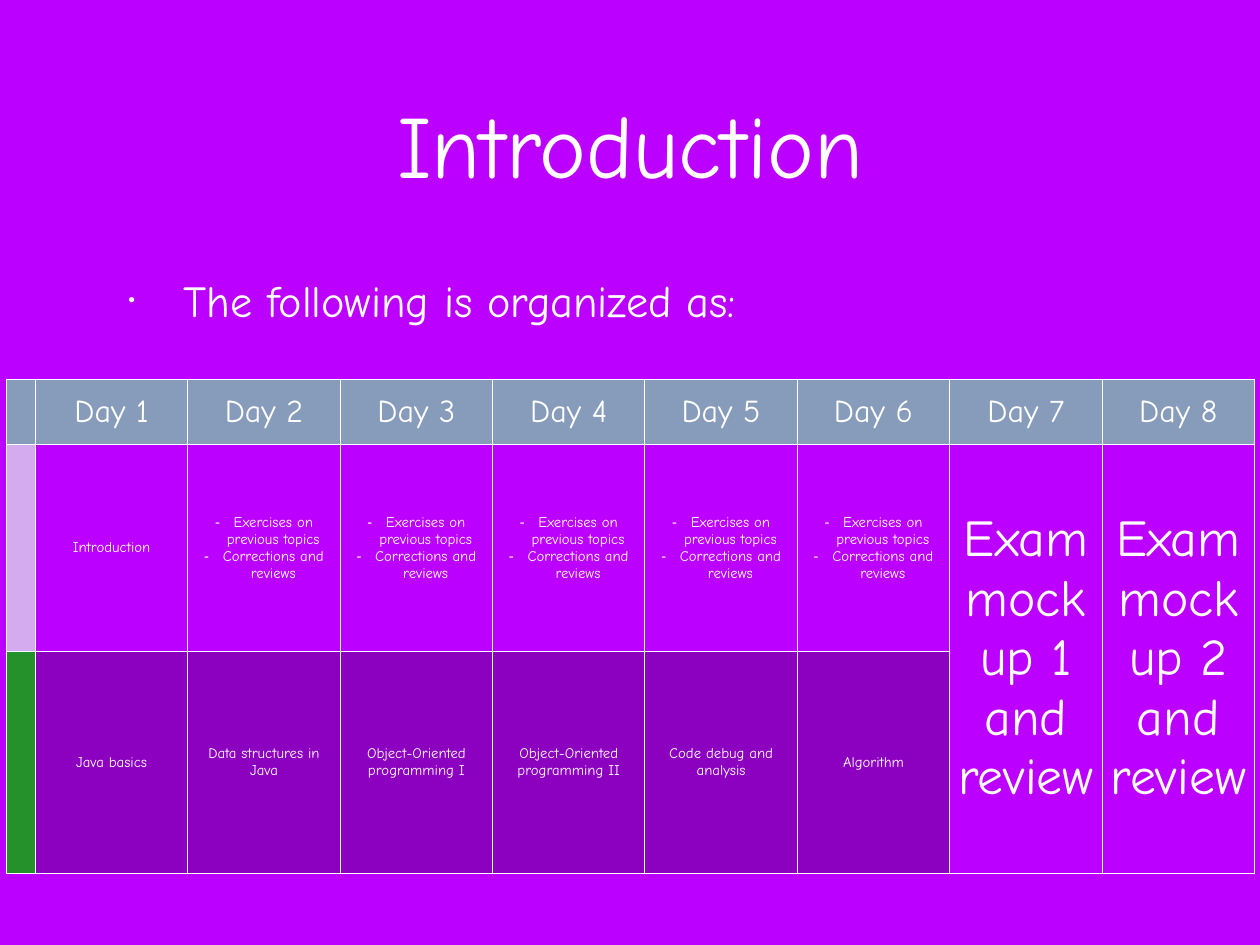
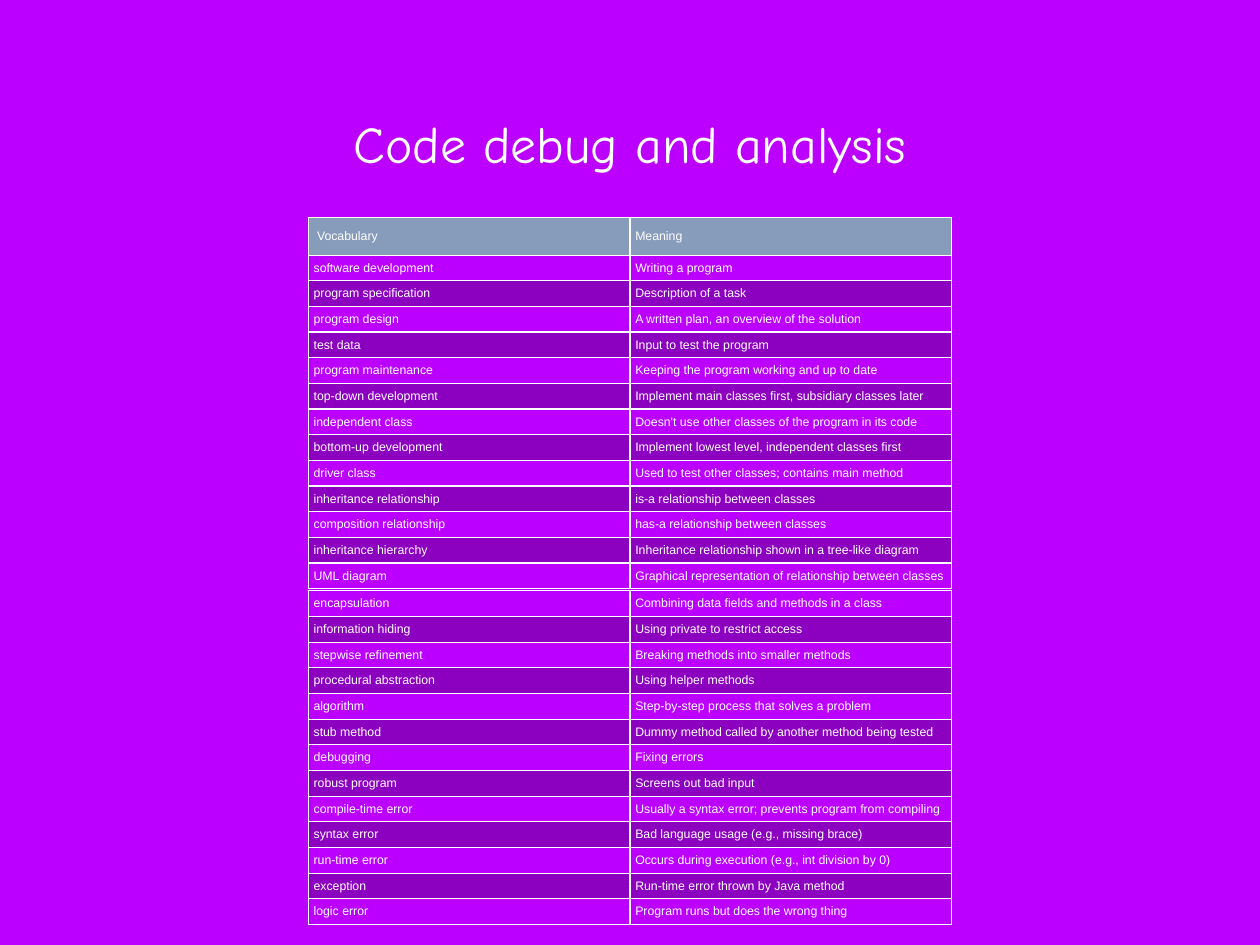
from lxml import etree
from pptx import Presentation
from pptx.dml.color import RGBColor
from pptx.enum import text
from pptx.oxml import ns
from pptx.util import Inches, Pt

PURPLE = RGBColor(0xBC, 0x00, 0xFF)
WHITE = RGBColor(0xFF, 0xFF, 0xFF)
SHADE = RGBColor(0x00, 0x00, 0x00)
SLATE = RGBColor(0x87, 0x9B, 0xBB)
LILAC = RGBColor(0xD4, 0xAB, 0xEF)
GREEN = RGBColor(0x25, 0x91, 0x2A)
HAND, SANS = "Comic Neue", "Arial"
INSET = Inches(0.06)
CENTER = text.PP_ALIGN.CENTER

REVIEW = ["Exercises on previous topics", "Corrections and reviews"]
SCHEDULE = [
    [""] + [f"Day {n}" for n in range(1, 9)],
    ["", "Introduction"] + [REVIEW] * 5
    + [f"Exam mock up {n} and review" for n in (1, 2)],
    ["", "Java basics", "Data structures in Java", "Object-Oriented programming I",
     "Object-Oriented programming II", "Code debug and analysis", "Algorithm", "", ""],
]
VOCABULARY = [
    (" Vocabulary", "Meaning"),
    ("software development", "Writing a program"),
    ("program specification", "Description of a task"),
    ("program design", "A written plan, an overview of the solution"),
    ("test data", "Input to test the program"),
    ("program maintenance", "Keeping the program working and up to date"),
    ("top-down development", "Implement main classes first, subsidiary classes later"),
    ("independent class", "Doesn't use other classes of the program in its code"),
    ("bottom-up development", "Implement lowest level, independent classes first"),
    ("driver class", "Used to test other classes; contains main method"),
    ("inheritance relationship", "is-a relationship between classes"),
    ("composition relationship", "has-a relationship between classes"),
    ("inheritance hierarchy", "Inheritance relationship shown in a tree-like diagram"),
    ("UML diagram", "Graphical representation of relationship between classes"),
]
MORE_VOCABULARY = [
    ("encapsulation", "Combining data fields and methods in a class"),
    ("information hiding", "Using private to restrict access"),
    ("stepwise refinement", "Breaking methods into smaller methods"),
    ("procedural abstraction", "Using helper methods"),
    ("algorithm", "Step-by-step process that solves a problem"),
    ("stub method", "Dummy method called by another method being tested"),
    ("debugging", "Fixing errors"),
    ("robust program", "Screens out bad input"),
    ("compile-time error", "Usually a syntax error; prevents program from compiling"),
    ("syntax error", "Bad language usage (e.g., missing brace)"),
    ("run-time error", "Occurs during execution (e.g., int division by 0)"),
    ("exception", "Run-time error thrown by Java method"),
    ("logic error", "Program runs but does the wrong thing"),
]


def add_xml(parent, tag, **attrs):
    """Append a drawing element with the given attributes."""
    return etree.SubElement(parent, ns.qn(tag), {k: str(v) for k, v in attrs.items()})


def style_runs(p, size, font):
    """Give every run of a paragraph the white text style."""
    for r in p.runs:
        r.font.size, r.font.name = Pt(size), font
        r.font.color.rgb = WHITE


def add_bullet(p, char, indent, percent=100):
    """Give a paragraph a bullet with a hanging indent."""
    pPr = p._p.get_or_add_pPr()
    pPr.set("marL", str(Inches(indent)))
    pPr.set("indent", str(-Inches(indent)))
    add_xml(pPr, "a:buSzPct", val=percent * 1000)
    add_xml(pPr, "a:buFont", typeface="Arial")
    add_xml(pPr, "a:buChar", char=char)


def set_insets(frame):
    """Set the shared inset on a text frame or cell."""
    frame.margin_left = frame.margin_right = INSET
    frame.margin_top = frame.margin_bottom = INSET


def fill_cell(cell, color):
    """Fill a cell, with translucent shade or nothing where asked, and rule its sides."""
    if color is None:
        cell.fill.background()
    else:
        cell.fill.solid()
        cell.fill.fore_color.rgb = color
    tcPr = cell._tc.get_or_add_tcPr()
    if color == SHADE:
        add_xml(tcPr.find(".//" + ns.qn("a:srgbClr")), "a:alpha", val=25000)
    for i, side in enumerate("LRTB"):
        ln = add_xml(tcPr, f"a:ln{side}", w=Pt(1))
        clr = add_xml(add_xml(ln, "a:solidFill"), "a:srgbClr", val=WHITE)
        add_xml(clr, "a:alpha", val=50000)
        add_xml(ln, "a:prstDash", val="solid")
        tcPr.insert(i, ln)


def add_grid(s, left, top, widths, heights, rows, style):
    """Add a table whose style(row, col) gives fill, size, font and alignment."""
    frame = s.shapes.add_table(len(rows), len(widths), Inches(left), Inches(top),
                               Inches(sum(widths)), Inches(sum(heights)))
    table = frame.table
    table.first_row = table.horz_banding = False
    for col, width in zip(table.columns, widths):
        col.width = Inches(width)
    for row, height in zip(table.rows, heights):
        row.height = Inches(height)
    for i, row in enumerate(rows):
        for j, content in enumerate(row):
            color, size, font, align = style(i, j)
            cell = table.cell(i, j)
            bulleted = isinstance(content, list)
            cell.text = "\n".join(content) if bulleted else content
            cell.vertical_anchor = text.MSO_ANCHOR.MIDDLE
            set_insets(cell)
            for p in cell.text_frame.paragraphs:
                p.alignment = align
                style_runs(p, size, font)
                if bulleted:
                    add_bullet(p, "-", 0.21)
            fill_cell(cell, color)
    return table


def add_schedule(s, left, top):
    """Add the eight-day course plan."""
    def style(i, j):
        if i == 0:
            return SLATE, 26, HAND, CENTER
        if j == 0:
            return (LILAC, GREEN)[i - 1], 12, HAND, CENTER
        if j > 6:
            return None, 42, HAND, CENTER
        return (None, SHADE)[i - 1], 12, HAND, CENTER

    table = add_grid(s, left, top, [0.33] + [1.72] * 8, [0.74, 2.34, 2.5], SCHEDULE, style)
    for j in (7, 8):
        table.cell(1, j).merge(table.cell(2, j))


def add_vocabulary(s, left, top, rows, header):
    """Add a two-column word list with every second row shaded."""
    def style(i, j):
        if header and i == 0:
            color = SLATE
        else:
            color = SHADE if (i - header) % 2 else None
        return color, 10, SANS, text.PP_ALIGN.LEFT

    heights = [0.42] * header + [0.29] * (len(rows) - header)
    add_grid(s, left, top, [3.63] * 2, heights, rows, style)


def add_lead(s, left, top, width, height, words):
    """Add the bulleted lead sentence."""
    box = s.shapes.add_textbox(Inches(left), Inches(top), Inches(width), Inches(height))
    tf = box.text_frame
    tf.word_wrap = True
    set_insets(tf)
    tf.text = words
    p = tf.paragraphs[0]
    p.space_before = Pt(36)
    style_runs(p, 36, HAND)
    add_bullet(p, "•", 0.62, 43)


def add_slide(prs, title, size):
    """Add a title-only slide with its title in the shared style."""
    s = prs.slides.add_slide(prs.slide_layouts[5])
    sp = s.shapes.title
    sp.left, sp.top, sp.width, sp.height = map(Inches, (1.39, 0.22, 11.44, 2.78))
    tf = sp.text_frame
    tf.text = title
    tf.word_wrap = True
    tf.auto_size = text.MSO_AUTO_SIZE.NONE
    tf.vertical_anchor = text.MSO_ANCHOR.MIDDLE
    set_insets(tf)
    p = tf.paragraphs[0]
    p.alignment = CENTER
    style_runs(p, size, HAND)
    return s


def main():
    """Build and save the presentation."""
    prs = Presentation()
    prs.slide_width, prs.slide_height = Inches(14.22), Inches(10.67)
    fill = prs.slide_master.background.fill
    fill.solid()
    fill.fore_color.rgb = PURPLE

    s = add_slide(prs, "Introduction", 72)
    add_schedule(s, 0.07, 4.28)
    add_lead(s, 1.39, 3.03, 11.44, 6.28, "The following is organized as:")

    s = add_slide(prs, "Code debug and analysis", 42)
    add_vocabulary(s, 3.48, 6.67, MORE_VOCABULARY, False)
    add_vocabulary(s, 3.48, 2.46, VOCABULARY, True)
    prs.save("out.pptx")


if __name__ == "__main__":
    main()
